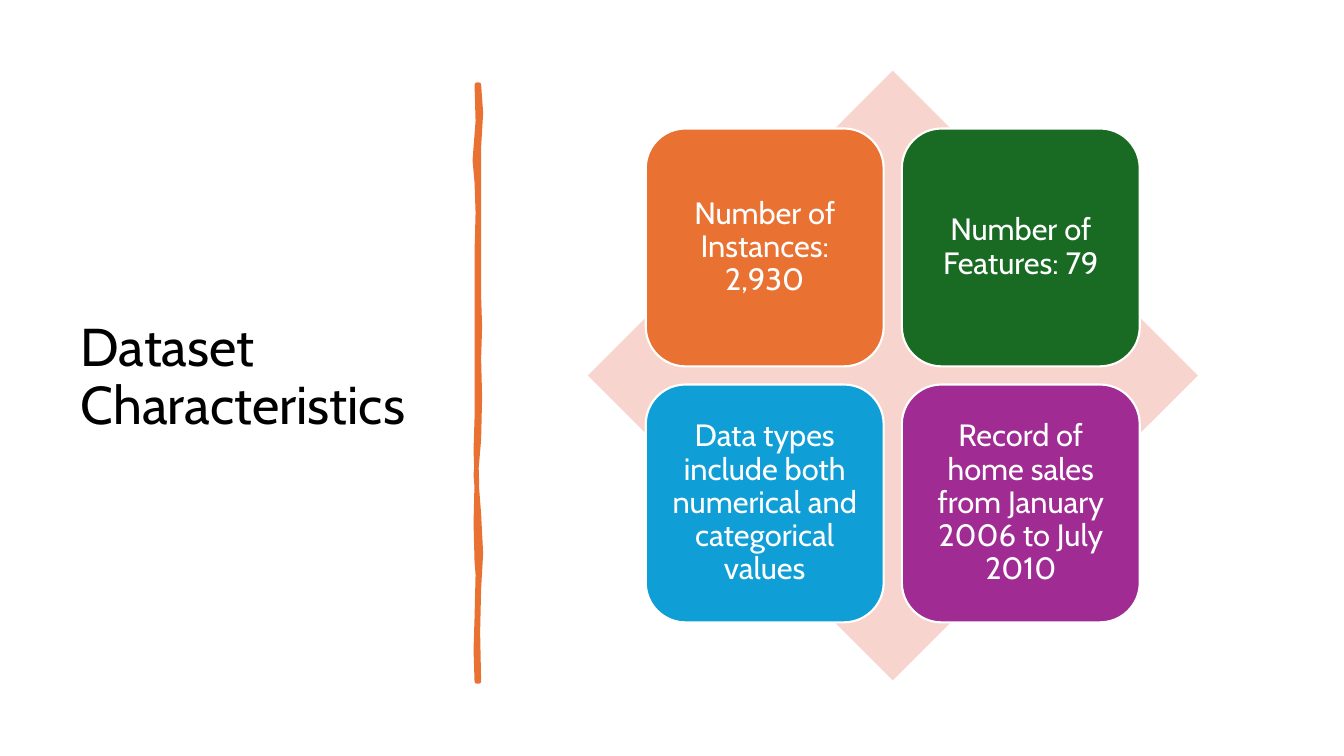
from pptx import Presentation
from pptx.dml.color import RGBColor
from pptx.enum.shapes import MSO_SHAPE as Preset
from pptx.enum.text import MSO_ANCHOR as Anchor, MSO_AUTO_SIZE as AutoSize, PP_ALIGN as Align
from pptx.util import Inches, Pt

FONT = "Cabin"
BLACK = RGBColor(0x00, 0x00, 0x00)
WHITE = RGBColor(0xFF, 0xFF, 0xFF)
ORANGE = RGBColor(0xE9, 0x71, 0x32)
GREEN = RGBColor(0x19, 0x6B, 0x24)
BLUE = RGBColor(0x0F, 0x9E, 0xD5)
PURPLE = RGBColor(0xA0, 0x2B, 0x93)
BLUSH = RGBColor(0xF7, 0xD5, 0xCE)

CARDS = [
    ("Number of Instances: 2,930", ORANGE),
    ("Number of Features: 79", GREEN),
    ("Data types include both numerical and categorical values", BLUE),
    ("Record of home sales from January 2006 to July 2010", PURPLE),
]
STROKE_POINTS = [
    (0.04, 0), (0.06, 0.28), (0.04, 0.62), (0.04, 1.01), (0.04, 1.42), (0.04, 2.1),
    (0.05, 2.4), (0.04, 2.72), (0.05, 3.1), (0.04, 3.52), (0.01, 3.87), (0.04, 4.26),
    (0.06, 4.65), (0.04, 5), (0.03, 5.43), (0.04, 5.92), (0.02, 5.92), (0.01, 5.61),
    (0.02, 5.29), (0.03, 4.86), (0.02, 4.73), (0.01, 4.35), (0.02, 3.93), (0.01, 3.62),
    (0.02, 3.31), (0.02, 2.95), (0.02, 2.51), (0.02, 2.06), (0.02, 1.66), (0.03, 1.27),
    (0.02, 0.97), (0, 0.75), (0.03, 0.36), (0.02, 0),
]


def write(frame, text, size, color, align):
    """Put one formatted paragraph in a vertically centred frame."""
    frame.word_wrap = True
    frame.auto_size = AutoSize.NONE
    frame.vertical_anchor = Anchor.MIDDLE
    para = frame.paragraphs[0]
    para.alignment = align
    para.line_spacing = 0.9
    span = para.add_run()
    span.text = text
    span.font.name = FONT
    span.font.size = Pt(size)
    span.font.color.rgb = color


def add_title(page, left, top, width, height):
    """Place the slide title."""
    title = page.shapes.title
    title.left, title.top = Inches(left), Inches(top)
    title.width, title.height = Inches(width), Inches(height)
    write(title.text_frame, "Dataset Characteristics", 38, BLACK, Align.LEFT)


def add_brush_stroke(page, left, top):
    """Draw the wavy vertical divider."""
    start, *rest = [(Inches(left + x), Inches(top + y)) for x, y in STROKE_POINTS]
    builder = page.shapes.build_freeform(*start)
    builder.add_line_segments(rest)
    stroke = builder.convert_to_shape()
    stroke.shadow.inherit = False
    stroke.fill.solid()
    stroke.fill.fore_color.rgb = ORANGE
    stroke.line.color.rgb = ORANGE
    stroke.line.width = Pt(3.25)


def add_block(group, preset, left, top, side, color):
    """Add a filled square-sided shape."""
    block = group.shapes.add_shape(preset, Inches(left), Inches(top), Inches(side), Inches(side))
    block.shadow.inherit = False
    block.fill.solid()
    block.fill.fore_color.rgb = color
    return block


def add_matrix(page, left, top, side):
    """Draw the diamond with its two-by-two grid of cards."""
    group = page.shapes.add_group_shape()
    diamond = add_block(group, Preset.DIAMOND, left, top, side, BLUSH)
    diamond.line.fill.background()
    card_side, pitch = 2.36, 2.54
    margin = (side - pitch - card_side) / 2
    for index, (text, color) in enumerate(CARDS):
        row, column = divmod(index, 2)
        card = add_block(group, Preset.ROUNDED_RECTANGLE, left + margin + column * pitch,
                         top + margin + row * pitch, card_side, color)
        card.line.color.rgb = WHITE
        card.line.width = Pt(1.5)
        frame = card.text_frame
        frame.margin_left = frame.margin_right = Inches(0.09)
        frame.margin_top = frame.margin_bottom = Inches(0.09)
        write(frame, text, 22, WHITE, Align.CENTER)


def main():
    """Build and save the deck."""
    deck = Presentation()
    deck.slide_width, deck.slide_height = Inches(13.33), Inches(7.5)
    page = deck.slides.add_slide(deck.slide_layouts[5])
    add_title(page, 0.7, 0.7, 3.74, 6.11)
    add_brush_stroke(page, 4.71, 0.84)
    add_matrix(page, 5.83, 0.7, 6.05)
    deck.save("out.pptx")


if __name__ == "__main__":
    main()
